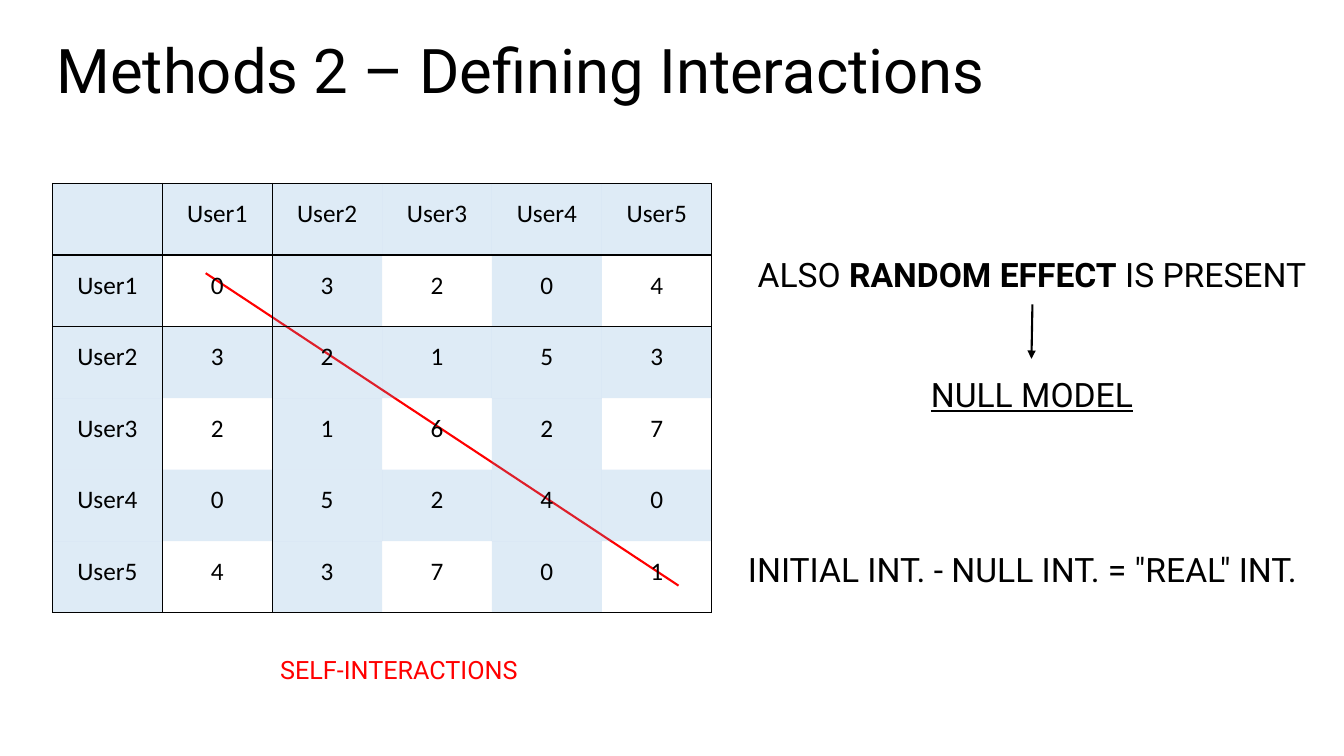
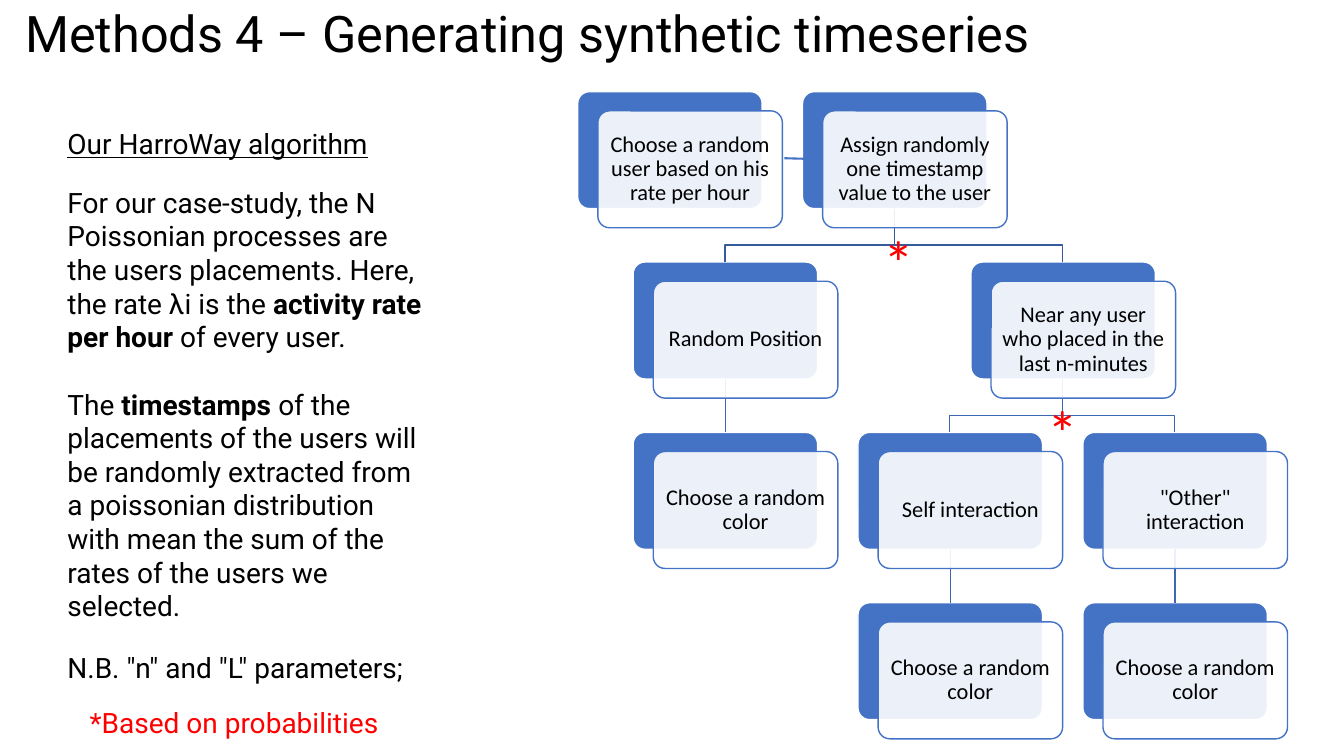
"""Build two slides on defining interactions and generating synthetic timeseries."""
import dataclasses

import pptx
import pptx.dml.color
import pptx.enum.dml
import pptx.enum.shapes
import pptx.enum.text
import pptx.oxml
import pptx.oxml.ns
import pptx.util

PX = 9144
ALIGN = pptx.enum.text.PP_ALIGN
ANCHOR = pptx.enum.text.MSO_ANCHOR
SHAPE = pptx.enum.shapes.MSO_SHAPE
STRAIGHT = pptx.enum.shapes.MSO_CONNECTOR.STRAIGHT
NO_GRID = "{2D5ABB26-0587-4C30-8999-92F81FD0307C}"


@dataclasses.dataclass(frozen=True)
class Theme:
    """Colours, fonts and type sizes shared by the slides."""
    text: str = "000000"
    red: str = "FF0000"
    white: str = "FFFFFF"
    band: str = "5B9BD5"
    card: str = "4472C4"
    upper_link: str = "365B9D"
    lower_link: str = "3E67B2"
    sans: str = "Roboto"
    label: str = "Calibri"
    title: int = 44
    small_title: int = 36
    lead: int = 24
    body: int = 20
    cell: int = 18
    node: int = 16


T = Theme()

CARD_W, CARD_H = 183, 116
OFFSET_X, OFFSET_Y = 20, 19
NODES = {
    "user": (0, 0, "Choose a random user based on his rate per hour"),
    "time": (4, 0, "Assign randomly one timestamp value to the user"),
    "random": (1, 1, "Random Position"),
    "near": (7, 1, "Near any user who placed in the last n-minutes"),
    "random color": (1, 2, "Choose a random color"),
    "self": (5, 2, "Self interaction"),
    "other": (9, 2, "\"Other\" interaction"),
    "self color": (5, 3, "Choose a random color"),
    "other color": (9, 3, "Choose a random color"),
}
LINKS = [
    ("time", "random"), ("time", "near"), ("random", "random color"),
    ("near", "self"), ("near", "other"),
    ("self", "self color"), ("other", "other color"),
]
COUNTS = [
    [0, 3, 2, 0, 4],
    [3, 2, 1, 5, 3],
    [2, 1, 6, 2, 7],
    [0, 5, 2, 4, 0],
    [4, 3, 7, 0, 1],
]


def px(*values):
    """Turn pixel lengths into EMU."""
    return [pptx.util.Emu(v * PX) for v in values]


def rgb(color):
    """Turn a hex string into a colour."""
    return pptx.dml.color.RGBColor.from_string(color)


def add_run(p, text, size, font=T.sans, color=T.text, bold=False, underline=False):
    """Add one formatted run to a paragraph."""
    r = p.add_run()
    r.text = text
    r.font.name = font
    r.font.size = pptx.util.Pt(size)
    r.font.color.rgb = rgb(color)
    r.font.bold = bold
    r.font.underline = underline


def add_title(prs, text, box, size):
    """Add a slide and set its title placeholder."""
    s = prs.slides.add_slide(prs.slide_layouts[5])
    title = s.shapes.title
    title.left, title.top, title.width, title.height = px(*box)
    tf = title.text_frame
    tf.auto_size = pptx.enum.text.MSO_AUTO_SIZE.NONE
    tf.vertical_anchor = ANCHOR.MIDDLE
    p = tf.paragraphs[0]
    p.alignment = ALIGN.LEFT
    p.line_spacing = 0.9
    add_run(p, text, size)
    return s


def add_text(s, box, paragraphs, size, align=ALIGN.LEFT, gap=0, **style):
    """Add a text box from paragraphs made of (text, run style) pairs."""
    tf = s.shapes.add_textbox(*px(*box)).text_frame
    tf.word_wrap = True
    for i, runs in enumerate(paragraphs):
        p = tf.add_paragraph() if i else tf.paragraphs[0]
        p.alignment = align
        if i:
            p.space_before = pptx.util.Pt(gap)
        for text, extra in runs:
            add_run(p, text, size, **{**style, **extra})


def set_alpha(properties, percent):
    """Make the solid fill of an element translucent."""
    color = properties.find("a:solidFill/a:srgbClr", properties.nsmap)
    alpha = color.makeelement(pptx.oxml.ns.qn("a:alpha"), {"val": str(percent * 1000)})
    color.append(alpha)


def add_line(s, start, end, color, width, arrow=False):
    """Add a straight connector, with an arrowhead at its end if wanted."""
    line = s.shapes.add_connector(STRAIGHT, *px(*start, *end))
    line.line.color.rgb = rgb(color)
    line.line.width = pptx.util.Pt(width)
    sp_pr = line._element.spPr
    if arrow:
        ln = line.line._get_or_add_ln()
        ln.append(ln.makeelement(pptx.oxml.ns.qn("a:tailEnd"), {"type": "triangle"}))
    sp_pr.append(sp_pr.makeelement(pptx.oxml.ns.qn("a:effectLst"), {}))
    return line


def add_border(cell, side):
    """Draw a thin line on one side of a table cell."""
    ns = pptx.oxml.ns.nsdecls("a")
    cell._tc.get_or_add_tcPr().append(pptx.oxml.parse_xml(
        f'<a:ln{side} {ns} w="12700"><a:solidFill><a:srgbClr val="{T.text}"/>'
        f'</a:solidFill></a:ln{side}>'))


def add_matrix(s, box, counts):
    """Add the table of interactions between users."""
    users = [f"User{i + 1}" for i in range(len(counts))]
    rows = [["", *users]] + [[u, *row] for u, row in zip(users, counts)]
    n = len(rows)
    edges = {0, 1, n}
    table = s.shapes.add_table(n, n, *px(*box)).table
    table.first_row = table.horz_banding = False
    table._tbl.tblPr.find(pptx.oxml.ns.qn("a:tableStyleId")).text = NO_GRID
    for i, row in enumerate(rows):
        for j, value in enumerate(row):
            cell = table.cell(i, j)
            for side, edge in (("L", j), ("R", j + 1), ("T", i), ("B", i + 1)):
                if edge in edges:
                    add_border(cell, side)
            if i % 2 == 0 or j % 2 == 0:
                cell.fill.solid()
                cell.fill.fore_color.rgb = rgb(T.band)
                set_alpha(cell._tc.tcPr, 20)
            else:
                cell.fill.background()
            cell.margin_left, cell.margin_right = px(15, 15)
            cell.margin_top, cell.margin_bottom = px(15, 15)
            p = cell.text_frame.paragraphs[0]
            p.alignment = ALIGN.CENTER
            if value != "":
                add_run(p, str(value), T.cell, T.label)


def card_place(name):
    """Give the left and top of a flowchart card."""
    quarter, level, _ = NODES[name]
    return 573 + 223 * quarter // 4, 91 + 169 * level


def add_card(s, left, top, fill, line):
    """Add a rounded card."""
    card = s.shapes.add_shape(SHAPE.ROUNDED_RECTANGLE, *px(left, top, CARD_W, CARD_H))
    card.adjustments[0] = 0.1
    card.shadow.inherit = False
    card.fill.solid()
    card.fill.fore_color.rgb = rgb(fill)
    card.line.color.rgb = rgb(line)
    card.line.width = pptx.util.Pt(1)
    return card


def add_front_card(s, name):
    """Add the translucent card that carries the text of a step."""
    left, top = card_place(name)
    card = add_card(s, left + OFFSET_X, top + OFFSET_Y, T.white, T.card)
    set_alpha(card._element.spPr, 90)
    tf = card.text_frame
    tf.word_wrap = True
    tf.vertical_anchor = ANCHOR.MIDDLE
    tf.margin_left, tf.margin_right, tf.margin_top, tf.margin_bottom = px(7, 7, 7, 7)
    p = tf.paragraphs[0]
    p.alignment = ALIGN.CENTER
    p.line_spacing = 0.9
    add_run(p, NODES[name][2], T.node, T.label)


def add_link(s, cards, parent, child):
    """Link two steps, straight down or with a bend."""
    (x1, y1), (x2, y2) = card_place(parent), card_place(child)
    x1, x2, y1 = x1 + CARD_W // 2, x2 + CARD_W // 2, y1 + CARD_H
    color = T.lower_link if NODES[parent][1] else T.upper_link
    if x1 == x2:
        line = add_line(s, (x1, y1), (x2, y2), color, 1)
        line.begin_connect(cards[parent], 2)
        line.end_connect(cards[child], 0)
        return
    bend = y1 + 36
    builder = s.shapes.build_freeform(*px(x1, y1))
    points = [px(x1, bend), px(x2, bend), px(x2, y2)]
    builder.add_line_segments(points, close=False)
    elbow = builder.convert_to_shape()
    elbow.shadow.inherit = False
    elbow.fill.background()
    elbow.line.color.rgb = rgb(color)
    elbow.line.width = pptx.util.Pt(1)


def add_flowchart(s):
    """Add the steps of the algorithm and their links."""
    cards = {name: add_card(s, *card_place(name), T.card, T.white) for name in NODES}
    for parent, child in LINKS:
        add_link(s, cards, parent, child)
    for name in NODES:
        add_front_card(s, name)


def interactions_slide(prs):
    """Build the slide on defining interactions."""
    s = add_title(prs, "Methods 2 – Defining Interactions", (46, 0, 1091, 145), T.title)
    add_line(s, (204, 271), (673, 581), T.red, 1.5)
    add_text(s, (268, 644, 268, 40), [[("SELF-INTERACTIONS", {})]], T.cell, color=T.red)
    add_text(s, (731, 247, 585, 212), [
        [("ALSO ", {}), ("RANDOM EFFECT", {"bold": True}), (" IS PRESENT", {})],
        [("NULL MODEL", {"underline": True})],
    ], T.lead, ALIGN.CENTER, gap=57)
    add_line(s, (1024, 302), (1023, 356), T.text, 1.5, arrow=True)
    add_text(s, (732, 540, 595, 50),
             [[("INITIAL INT. - NULL INT. = \"REAL\" INT.", {})]], T.lead)
    add_matrix(s, (52, 182, 654, 426), COUNTS)


def timeseries_slide(prs):
    """Build the slide on generating synthetic timeseries."""
    s = add_title(prs, "Methods 4 – Generating synthetic timeseries",
                  (15, -37, 1310, 145), T.small_title)
    add_flowchart(s)
    bold = {"bold": True}
    add_text(s, (57, 121, 472, 44),
             [[("Our HarroWay algorithm", {"underline": True})]], T.body)
    add_text(s, (57, 179, 381, 414), [
        [("For our case-study, the N Poissonian processes are the users placements. "
          "Here, the rate λi is the ", {}),
         ("activity rate per hour ", bold), ("of every user.", {})],
        [("The ", {}), ("timestamps", bold),
         (" of the placements of the users will be randomly extracted from a poissonian "
          "distribution with mean the sum of the rates of the users we selected.", {})],
    ], T.body, gap=24)
    add_text(s, (57, 640, 378, 44), [[("N.B. \"n\" and \"L\" parameters;", {})]], T.body)
    add_text(s, (79, 695, 317, 44), [[("*Based on probabilities", {})]], T.body, color=T.red)
    for left, top in ((866, 217), (1029, 386)):
        add_text(s, (left, top, 72, 84), [[("*", {})]], T.title, font=T.label, color=T.red)
    add_line(s, (778, 157), (816, 158), T.card, 1.5)


def main():
    """Build and save the presentation."""
    prs = pptx.Presentation()
    prs.slide_width, prs.slide_height = px(1333, 750)
    interactions_slide(prs)
    timeseries_slide(prs)
    prs.save("out.pptx")


if __name__ == "__main__":
    main()
